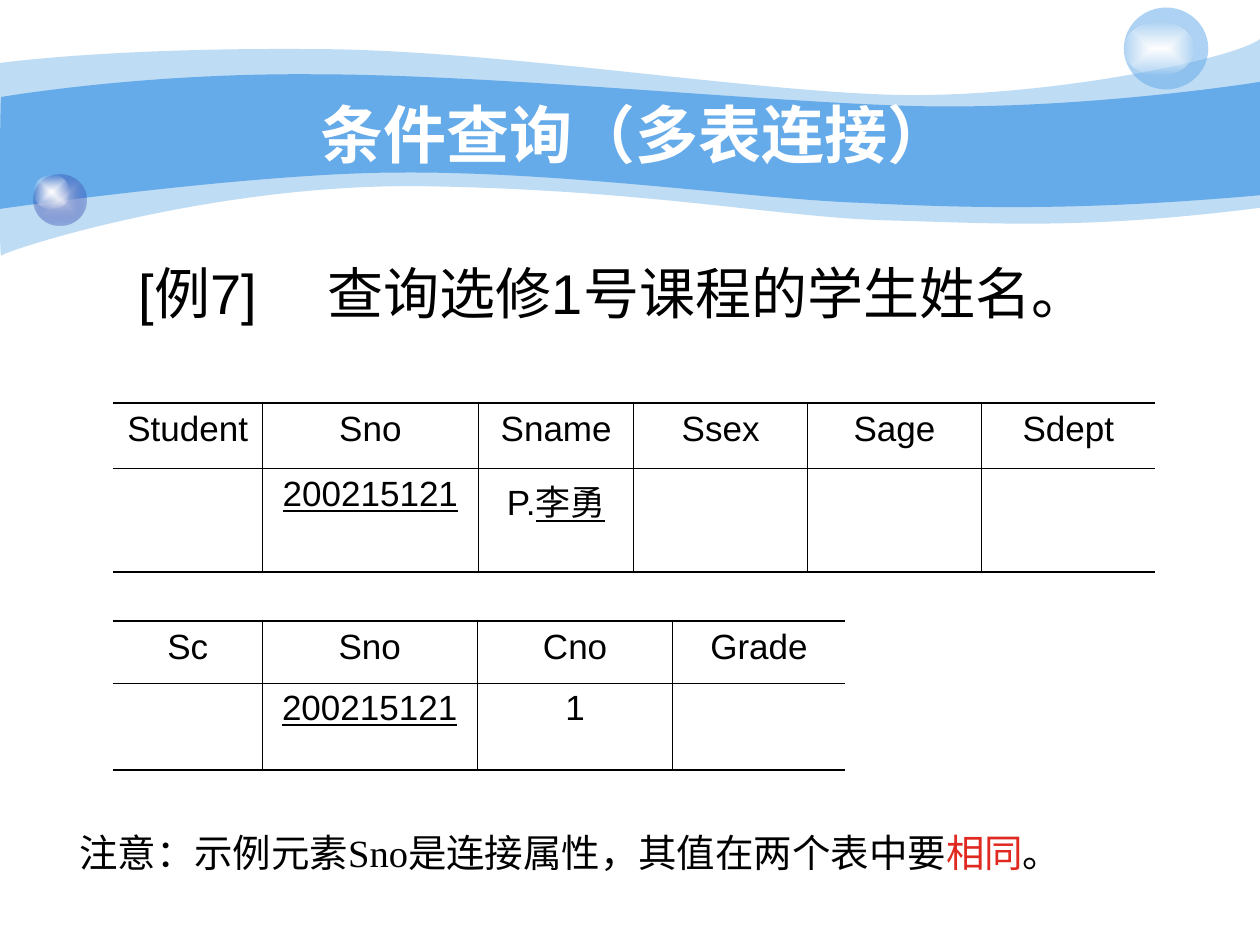
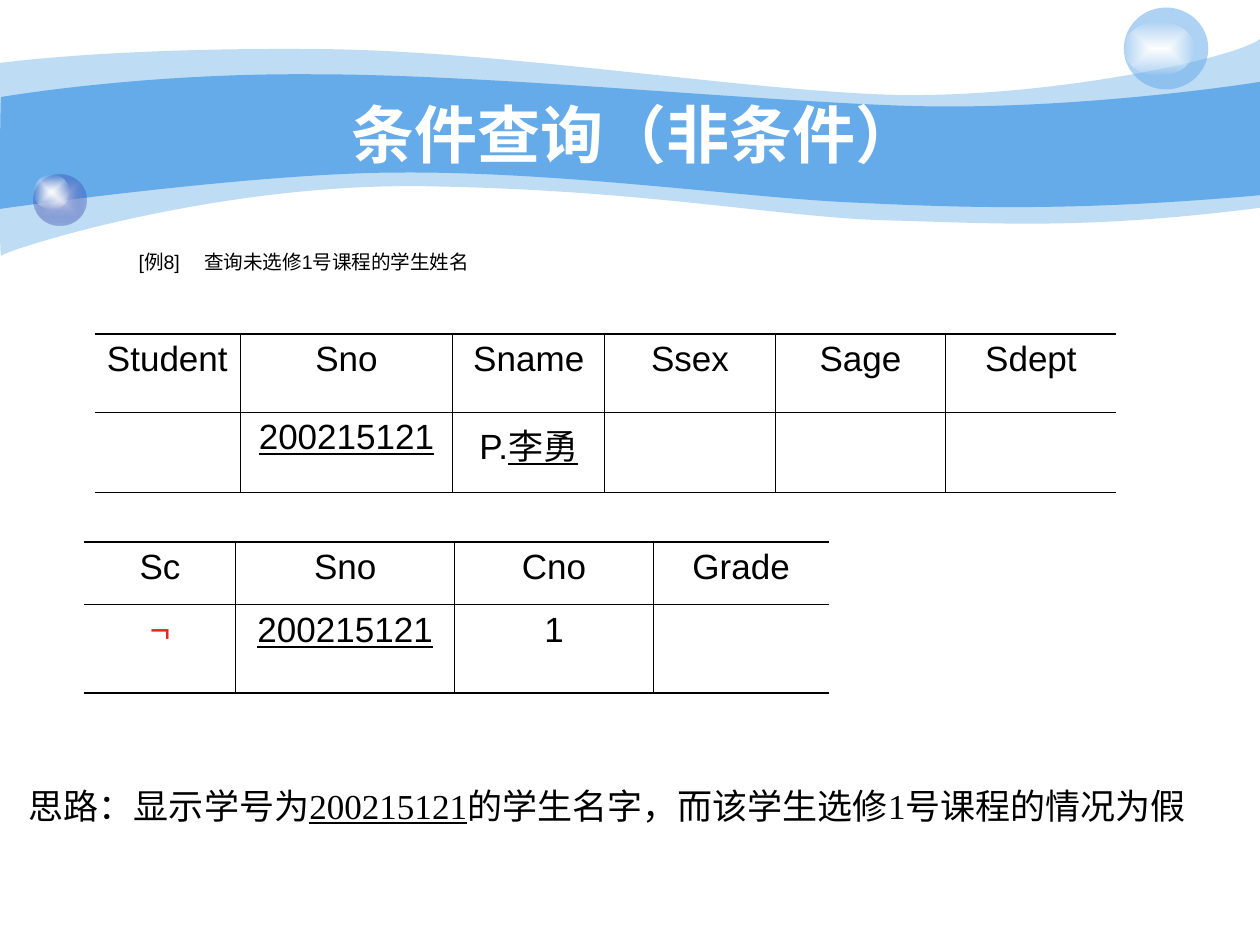
from dataclasses import dataclass

from lxml.etree import SubElement
from pptx import Presentation
from pptx.dml.color import RGBColor
from pptx.enum.shapes import MSO_SHAPE
from pptx.enum.text import MSO_ANCHOR, MSO_AUTO_SIZE, PP_ALIGN
from pptx.oxml import parse_xml
from pptx.oxml.ns import nsdecls, qn
from pptx.util import Inches, Pt


@dataclass(frozen=True)
class Theme:
    blue: str = "65AAE9"
    navy: str = "233DA9"
    lilac: str = "C7CEE9"
    white: str = "FFFFFF"
    black: str = "000000"
    red: str = "E02920"
    sans: str = "Arial"
    serif: str = "Times New Roman"
    title: float = 36
    cell: float = 20
    thin: float = 0.45
    thick: float = 1.08


THEME = Theme()

# Band outlines: a start point, then curves of three points or lines of one
PALE_BAND = [
    [(0, 0.5)],
    [(0.24, 0.47), (1.07, 0.38), (2.47, 0.39)],
    [(3.86, 0.39), (5.75, 0.7), (6.99, 0.75)],
    [(8.22, 0.8), (9.8, 0.47), (10, 0.31)],
    [(10, 1.65)],
    [(8.58, 1.83), (7.87, 1.77), (7.05, 1.75)],
    [(6.22, 1.73), (5.15, 1.51), (3.43, 1.48)],
    [(1.72, 1.44), (0.04, 1.99), (0.01, 2.03)],
    [(-0.01, 2.08), (0, 0.75), (0, 0.5)],
]
BLUE_BAND = [
    [(0.01, 0.77)],
    [(0.02, 0.77), (1.1, 0.58), (2.48, 0.59)],
    [(3.86, 0.59), (5.95, 0.8), (7.18, 0.84)],
    [(8.41, 0.88), (9.76, 0.69), (10, 0.65)],
    [(10, 1.55)],
    [(8.53, 1.68), (7.65, 1.65), (6.82, 1.61)],
    [(5.99, 1.58), (4.47, 1.36), (3.17, 1.37)],
    [(2.03, 1.37), (-0.02, 1.66), (-0.01, 1.66)],
    [(0, 1.66), (0, 0.77), (0.01, 0.77)],
]

# Query tables: headings and relative column widths
STUDENT = ["Student", "Sno", "Sname", "Ssex", "Sage", "Sdept"]
STUDENT_COLS = [1.18, 1.72, 1.23, 1.38, 1.38, 1.38]
COURSE = ["Sc", "Sno", "Cno", "Grade"]
COURSE_COLS = [1.18, 1.71, 1.55, 1.37]
NUMBER = ("200215121", "u")
STUDENT_ROW = ["", [NUMBER], ["P.", ("李勇", "u")], "", "", ""]


def box(left, top, width, height):
    return [Inches(n) for n in (left, top, width, height)]


# Fills
def color(name, alpha=100):
    return f'<a:srgbClr val="{name}"><a:alpha val="{alpha * 1000}"/></a:srgbClr>'


def solid(name, alpha=100):
    return f'<a:solidFill {nsdecls("a")}>{color(name, alpha)}</a:solidFill>'


def glow(inner, outer, alpha):
    return (
        f'<a:gradFill {nsdecls("a")} rotWithShape="1"><a:gsLst>'
        f'<a:gs pos="0">{color(inner)}</a:gs>'
        f'<a:gs pos="100000">{color(outer, alpha)}</a:gs></a:gsLst>'
        '<a:path path="rect"><a:fillToRect l="50000" t="50000" r="50000" b="50000"/>'
        "</a:path></a:gradFill>"
    )


def paint(shape, fill):
    shape.shadow.inherit = False
    shape.line.fill.background()
    shape.fill.solid()
    props = shape.element.spPr
    props.replace(props.find(qn("a:solidFill")), parse_xml(fill))


# Decoration
def bend(band, pieces):
    """Turn each run of three line segments into one Bezier curve."""
    lines = iter(list(band.element.iter(qn("a:lnTo"))))
    for piece in pieces:
        first, *rest = [next(lines) for _ in piece]
        if rest:
            first.tag = qn("a:cubicBezTo")
            for line in rest:
                first.append(line[0])
                line.getparent().remove(line)


def add_band(slide, outline, fill):
    spots = [(Inches(x), Inches(y)) for piece in outline for x, y in piece]
    builder = slide.shapes.build_freeform(*spots[0])
    builder.add_line_segments(spots[1:])
    band = builder.convert_to_shape()
    bend(band, outline[1:])
    paint(band, fill)
    return band


def add_ball(slide, place, fill):
    ball = slide.shapes.add_shape(MSO_SHAPE.OVAL, *box(*place))
    paint(ball, fill)
    return ball


def dress(layout, slide):
    """Draw the bands and balls once and hand them to the layout."""
    shine = glow(THEME.white, THEME.white, 0)
    parts = [
        add_band(slide, PALE_BAND, solid(THEME.blue, 41)),
        add_band(slide, BLUE_BAND, solid(THEME.blue)),
        add_ball(slide, (0.27, 1.39, 0.42, 0.4), glow(THEME.lilac, THEME.navy, 31)),
        add_ball(slide, (0.27, 1.39, 0.28, 0.27), shine),
        add_ball(slide, (8.92, 0.06, 0.67, 0.65), solid(THEME.blue, 53)),
        add_ball(slide, (8.92, 0.17, 0.56, 0.43), shine),
    ]
    for part in parts:
        layout.shapes.element.append(part.element)


# Text
def style(para, size, face, tint=THEME.black, bold=False):
    font = para.font
    font.size, font.name, font.bold = Pt(size), face, bold
    font.color.rgb = RGBColor.from_string(tint)


def write(para, runs):
    """Add runs; a pair holds the text and 'u' (underlined) or 'red'."""
    for item in runs:
        text, look = (item, "") if isinstance(item, str) else item
        run = para.add_run()
        run.text = text
        if look == "u":
            run.font.underline = True
        elif look == "red":
            run.font.color.rgb = RGBColor.from_string(THEME.red)


def add_title(slide, text):
    title = slide.shapes.title
    title.left, title.top, title.width, title.height = box(1, 0.75, 8.08, 0.62)
    frame = title.text_frame
    frame.text = text
    frame.auto_size = MSO_AUTO_SIZE.NONE
    frame.vertical_anchor = MSO_ANCHOR.MIDDLE
    para = frame.paragraphs[0]
    para.alignment = PP_ALIGN.CENTER
    style(para, THEME.title, THEME.sans, THEME.white, True)


def add_task(slide, place, label, text, size, stop, spacing):
    frame = slide.shapes.add_textbox(*box(*place)).text_frame
    frame.word_wrap = True
    frame.margin_left = Inches(0.6)
    para = frame.paragraphs[0]
    para.line_spacing = spacing
    tabs = SubElement(para._p.get_or_add_pPr(), qn("a:tabLst"))
    SubElement(tabs, qn("a:tab"), pos=str(Inches(stop)), algn="l")
    style(para, size, THEME.sans)
    write(para, [f"{label}\t{text}"])


def add_note(slide, place, runs, size):
    frame = slide.shapes.add_textbox(*box(*place)).text_frame
    frame.word_wrap = False
    para = frame.paragraphs[0]
    para.line_spacing = 1.2
    style(para, size, THEME.serif)
    write(para, runs)


# Tables
def edge(cell, side, width):
    line = SubElement(cell._tc.get_or_add_tcPr(), qn(f"a:ln{side}"))
    if width:
        line.set("w", str(Pt(width)))
        line.append(parse_xml(solid(THEME.black)))
    else:
        line.set("w", "0")
        SubElement(line, qn("a:noFill"))


def add_query(slide, left, top, width, shares, heights, rows):
    size = (len(rows), len(shares))
    place = box(left, top, width, sum(heights))
    table = slide.shapes.add_table(*size, *place).table
    table.first_row = table.horz_banding = False
    for col, share in zip(table.columns, shares):
        col.width = Inches(width * share / sum(shares))
    last_row, last_col = size[0] - 1, size[1] - 1
    for r, row in enumerate(rows):
        table.rows[r].height = Inches(heights[r])
        for c, content in enumerate(row):
            cell = table.cell(r, c)
            cell.margin_left = cell.margin_right = Inches(0.08)
            # Open left and right, heavier rules above and below
            edge(cell, "L", THEME.thin if c else 0)
            edge(cell, "R", THEME.thin if c < last_col else 0)
            edge(cell, "T", THEME.thin if r else THEME.thick)
            edge(cell, "B", THEME.thin if r < last_row else THEME.thick)
            cell.fill.background()
            para = cell.text_frame.paragraphs[0]
            para.alignment = PP_ALIGN.CENTER
            style(para, THEME.cell, THEME.sans)
            if content:
                write(para, [content] if isinstance(content, str) else content)


def main():
    deck = Presentation()
    deck.slide_width, deck.slide_height = Inches(10), Inches(7.5)
    layout = deck.slide_layouts[5]

    # Join across two tables
    slide = deck.slides.add_slide(layout)
    dress(layout, slide)
    add_title(slide, "条件查询（多表连接）")
    add_task(slide, (0.5, 2, 8.67, 1.67), "[例7]", "查询选修1号课程的学生姓名。",
             32, 1.5, 1)
    add_query(slide, 0.9, 3.2, 8.27, STUDENT_COLS, [0.52, 0.82],
              [STUDENT, STUDENT_ROW])
    add_query(slide, 0.9, 4.93, 5.81, COURSE_COLS, [0.49, 0.69],
              [COURSE, ["", [NUMBER], "1", ""]])
    add_note(slide, (0.53, 6.46, 8.21, 0.58),
             ["注意：示例元素Sno是连接属性，其值在两个表中要", ("相同", "red"), "。"], 22)

    # Negated condition
    slide = deck.slides.add_slide(layout)
    add_title(slide, "条件查询（非条件）")
    add_task(slide, (0.5, 2, 8.91, 1.04), "[例8]", "查询未选修1号课程的学生姓名",
             11.2, 0.52, 0.6)
    add_query(slide, 0.75, 2.65, 8.11, STUDENT_COLS, [0.62, 0.64],
              [STUDENT, STUDENT_ROW])
    add_query(slide, 0.67, 4.3, 5.91, COURSE_COLS, [0.5, 0.7],
              [COURSE, [[("¬", "red")], [NUMBER], "1", ""]])
    add_note(slide, (0.13, 6.11, 9.65, 0.5),
             ["思路：显示学号为", NUMBER, "的学生名字，而该学生选修1号课程的情况为假"], 20)

    deck.save("out.pptx")


if __name__ == "__main__":
    main()
